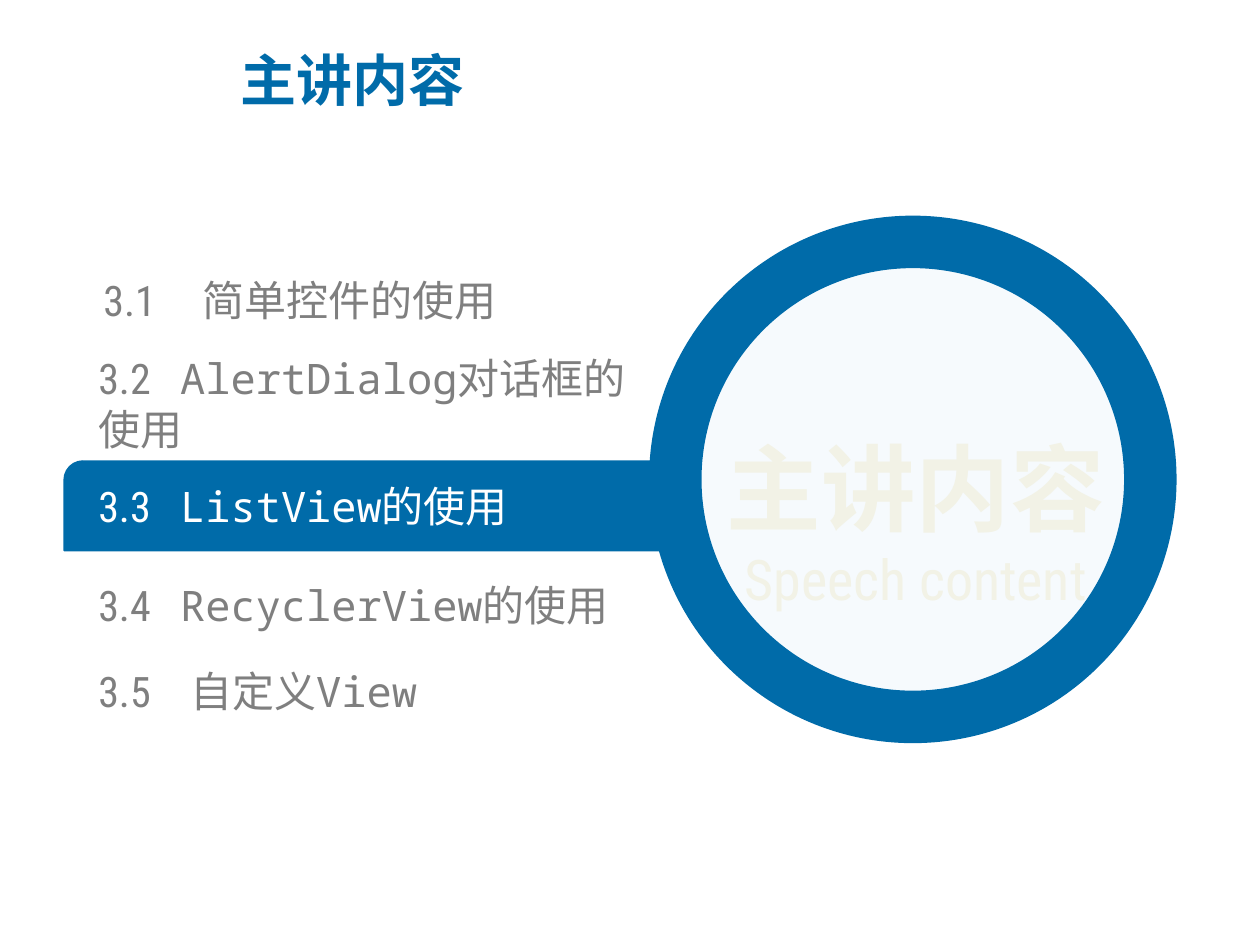
"""Build the chapter agenda slide with the ListView section highlighted."""
from lxml.etree import SubElement
from pptx import Presentation
from pptx.dml.color import RGBColor
from pptx.enum.shapes import MSO_SHAPE as Shape
from pptx.enum.text import MSO_ANCHOR as Anchor, PP_ALIGN as Align
from pptx.oxml.ns import qn
from pptx.util import Inches, Pt

BLUE = RGBColor(0x00, 0x6B, 0xA9)
PALE = RGBColor(0xF6, 0xFA, 0xFD)
CREAM = RGBColor(0xF2, 0xF2, 0xE6)
GRAY = RGBColor(0x7F, 0x7F, 0x7F)
WHITE = RGBColor(0xFF, 0xFF, 0xFF)

CJK = "Noto Sans CJK SC"
CONDENSED = "Roboto Condensed"
MONO = "Noto Sans Mono"

SECTIONS = [
    ("3.1", 0.82, 2.18, 4.19, 0.79, GRAY, [("简单控件的使用", CONDENSED)]),
    ("3.2", 0.78, 3.0, 4.41, 0.65, GRAY,
     [("AlertDialog", MONO), ("对话框的使用", CONDENSED)]),
    ("3.3", 0.78, 3.81, 4.19, 0.65, WHITE,
     [("ListView", MONO), ("的使用", CONDENSED)]),
    ("3.4", 0.78, 4.6, 4.19, 0.65, GRAY,
     [("RecyclerView", MONO), ("的使用", CONDENSED)]),
    ("3.5", 0.78, 5.28, 4.19, 0.73, GRAY,
     [("自定义", CONDENSED), ("View", MONO)]),
]


def add_panel(slide, preset, box, fill, line_width):
    panel = slide.shapes.add_shape(preset, *map(Inches, box))
    panel.shadow.inherit = False
    panel.fill.solid()
    panel.fill.fore_color.rgb = fill
    panel.line.color.rgb = BLUE
    panel.line.width = Pt(line_width)
    return panel


def add_frame(slide, box):
    frame = slide.shapes.add_textbox(*map(Inches, box)).text_frame
    frame.word_wrap = True
    frame.vertical_anchor = Anchor.MIDDLE
    return frame


def add_run(paragraph, text, font_name):
    run = paragraph.add_run()
    run.text = text
    run.font.name = font_name
    SubElement(run.font._element, qn("a:ea"), typeface=CJK)


def set_font(paragraph, size, color, bold=False):
    paragraph.font.size = Pt(size)
    paragraph.font.color.rgb = color
    paragraph.font.bold = bold


def add_heading(slide, text, box, font_name, size, color, bold, align):
    heading = add_frame(slide, box).paragraphs[0]
    heading.alignment = align
    set_font(heading, size, color, bold)
    add_run(heading, text, font_name)


def add_section(slide, number, left, top, width, title_offset, color, title):
    frame = add_frame(slide, (left, top, width, 0.4))
    frame.margin_left = frame.margin_right = 0
    frame.margin_top = frame.margin_bottom = 0
    section = frame.paragraphs[0]
    stops = SubElement(section._p.get_or_add_pPr(), qn("a:tabLst"))
    SubElement(stops, qn("a:tab"), pos=str(Inches(title_offset)), algn="l")
    set_font(section, 24, color)
    add_run(section, number + "\t", CONDENSED)
    for text, font_name in title:
        add_run(section, text, font_name)


def main():
    deck = Presentation()
    deck.slide_width, deck.slide_height = Inches(10), Inches(7.5)
    slide = deck.slides.add_slide(deck.slide_layouts[6])

    highlight = add_panel(
        slide, Shape.ROUND_2_DIAG_RECTANGLE, (0.51, 3.66, 6.38, 0.71), BLUE, 1)
    highlight.adjustments[0] = 0.21
    highlight.adjustments[1] = 0
    for section in SECTIONS:
        add_section(slide, *section)

    add_panel(slide, Shape.OVAL, (5.36, 1.92, 3.77, 3.77), PALE, 30)
    add_heading(slide, "主讲内容", (5.57, 3.36, 3.4, 1), CJK, 54, CREAM,
                True, Align.CENTER)
    add_heading(slide, "Speech content", (5.57, 4.26, 3.4, 0.65), CONDENSED,
                32, CREAM, False, Align.CENTER)
    add_heading(slide, "主讲内容", (1.81, 0.21, 5.63, 0.84), CJK, 32, BLUE,
                True, Align.LEFT)
    deck.save("out.pptx")


if __name__ == "__main__":
    main()
